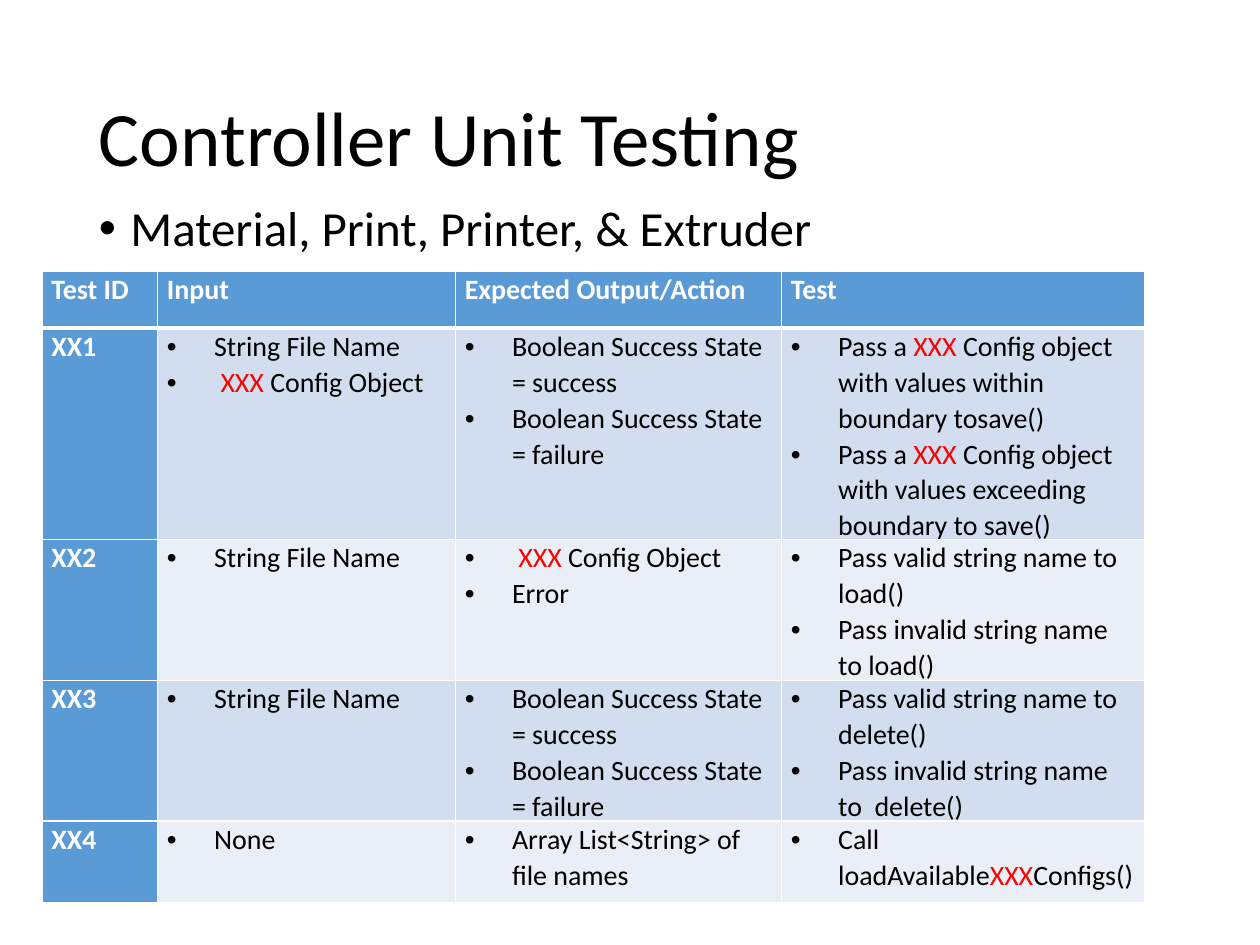
from lxml import etree
from pptx import Presentation
from pptx.dml.color import RGBColor
from pptx.enum.text import MSO_ANCHOR, PP_ALIGN
from pptx.oxml.ns import qn
from pptx.util import Pt

TOP, MIDDLE = MSO_ANCHOR.TOP, MSO_ANCHOR.MIDDLE
LEFT, JUSTIFY = PP_ALIGN.LEFT, PP_ALIGN.JUSTIFY

COLORS = {
    "text": "000000",
    "mark": "FF0000",
    "white": "FFFFFF",
    "header": "5B9BD5",
    "odd": "D2DEEF",
    "even": "EAEFF7",
}
PLACEHOLDER = "XXX"
COLUMN_WIDTHS = [66, 170.2, 186.4, 207.5]
ROW_HEIGHTS = [32.4, 103, 70.6, 78.5, 46.8]
HEADINGS = ["Test ID", "Input", "Expected Output/Action", "Test"]
SUCCESS_STATES = ["Boolean Success State = success", "Boolean Success State = failure"]
TESTS = [
    ["XX1", ["String File Name", " XXX Config Object"], SUCCESS_STATES,
     ["Pass a XXX Config object with values within boundary tosave()",
      "Pass a XXX Config object with values exceeding boundary to save()"]],
    ["XX2", ["String File Name"], [" XXX Config Object", "Error"],
     ["Pass valid string name to load()", "Pass invalid string name to load()"]],
    ["XX3", ["String File Name"], SUCCESS_STATES,
     ["Pass valid string name to delete()", "Pass invalid string name to  delete()"]],
    ["XX4", ["None"], ["Array List<String> of file names"],
     ["Call loadAvailableXXXConfigs()"]],
]


def set_values(target, values):
    for name, value in values.items():
        setattr(target, name, value)


class SlideBuilder:
    def __init__(self, slide, font_name):
        self.slide = slide
        self.font_name = font_name

    def add_bullet(self, paragraph, indent):
        properties = paragraph._p.get_or_add_pPr()
        properties.set("marL", str(Pt(indent)))
        properties.set("indent", str(-Pt(indent)))
        etree.SubElement(properties, qn("a:buFont")).set("typeface", "Arial")
        etree.SubElement(properties, qn("a:buChar")).set("char", "•")

    def add_run(self, paragraph, text, size, color, bold):
        run = paragraph.add_run()
        run.text = text
        set_values(run.font, {"name": self.font_name, "size": Pt(size), "bold": bold})
        run.font.color.rgb = RGBColor.from_string(COLORS[color])

    def fill_frame(self, frame, lines, size, color="text", bold=False, indent=0,
                   spacing=0.9, align=LEFT):
        """Fill a frame with paragraphs, marking each placeholder word in red."""
        for index, line in enumerate(lines):
            paragraph = frame.add_paragraph() if index else frame.paragraphs[0]
            if indent:
                self.add_bullet(paragraph, indent)
            set_values(paragraph, {"line_spacing": spacing, "alignment": align})
            for part in line.partition(PLACEHOLDER):
                if part:
                    part_color = "mark" if part == PLACEHOLDER else color
                    self.add_run(paragraph, part, size, part_color, bold)

    def text(self, box, line, size, anchor=TOP, indent=0):
        frame = self.slide.shapes.add_textbox(*map(Pt, box)).text_frame
        set_values(frame, {"word_wrap": True, "vertical_anchor": anchor})
        self.fill_frame(frame, [line], size, indent=indent)

    def add_borders(self, cell, bottom_width):
        properties = cell._tc.get_or_add_tcPr()
        for side in "LRTB":
            width = bottom_width if side == "B" else 1
            line = etree.SubElement(properties, qn(f"a:ln{side}"), w=str(Pt(width)))
            fill = etree.SubElement(line, qn("a:solidFill"))
            etree.SubElement(fill, qn("a:srgbClr")).set("val", COLORS["white"])

    def cell(self, cell, content, fill, bottom_width=1):
        """Style a cell; a string is a heading and a list is bulleted."""
        set_values(cell, {"margin_left": Pt(5.4), "margin_right": Pt(5.4),
                          "margin_top": 0, "margin_bottom": 0})
        self.add_borders(cell, bottom_width)
        cell.fill.solid()
        cell.fill.fore_color.rgb = RGBColor.from_string(COLORS[fill])
        if isinstance(content, str):
            self.fill_frame(cell.text_frame, [content], 16, "white", True,
                            spacing=1.05, align=JUSTIFY)
        else:
            self.fill_frame(cell.text_frame, content, 16, indent=27, spacing=1.05)

    def table(self, left, top, widths, heights, headings, rows):
        table = self.slide.shapes.add_table(
            len(heights), len(widths), Pt(left), Pt(top),
            Pt(sum(widths)), Pt(sum(heights))).table
        for column, width in zip(table.columns, widths):
            column.width = Pt(width)
        for row, height in zip(table.rows, heights):
            row.height = Pt(height)
        for column, heading in enumerate(headings):
            self.cell(table.cell(0, column), heading, "header", 3)
        for row, contents in enumerate(rows, 1):
            band = "odd" if row % 2 else "even"
            for column, content in enumerate(contents):
                fill = band if column else "header"
                # The header row's thick rule is also the top of the first test row.
                self.cell(table.cell(row, column), content, fill)


def main():
    presentation = Presentation()
    set_values(presentation, {"slide_width": Pt(720), "slide_height": Pt(540)})
    slide = presentation.slides.add_slide(presentation.slide_layouts[6])
    builder = SlideBuilder(slide, "Calibri")
    builder.text((49.5, 28.75, 621, 104.4), "Controller Unit Testing", 44, MIDDLE)
    builder.text((49.5, 113, 621, 342.6), "Material, Print, Printer, & Extruder",
                 28, indent=18)
    builder.table(24, 155, COLUMN_WIDTHS, ROW_HEIGHTS, HEADINGS, TESTS)
    presentation.save("out.pptx")


if __name__ == "__main__":
    main()
